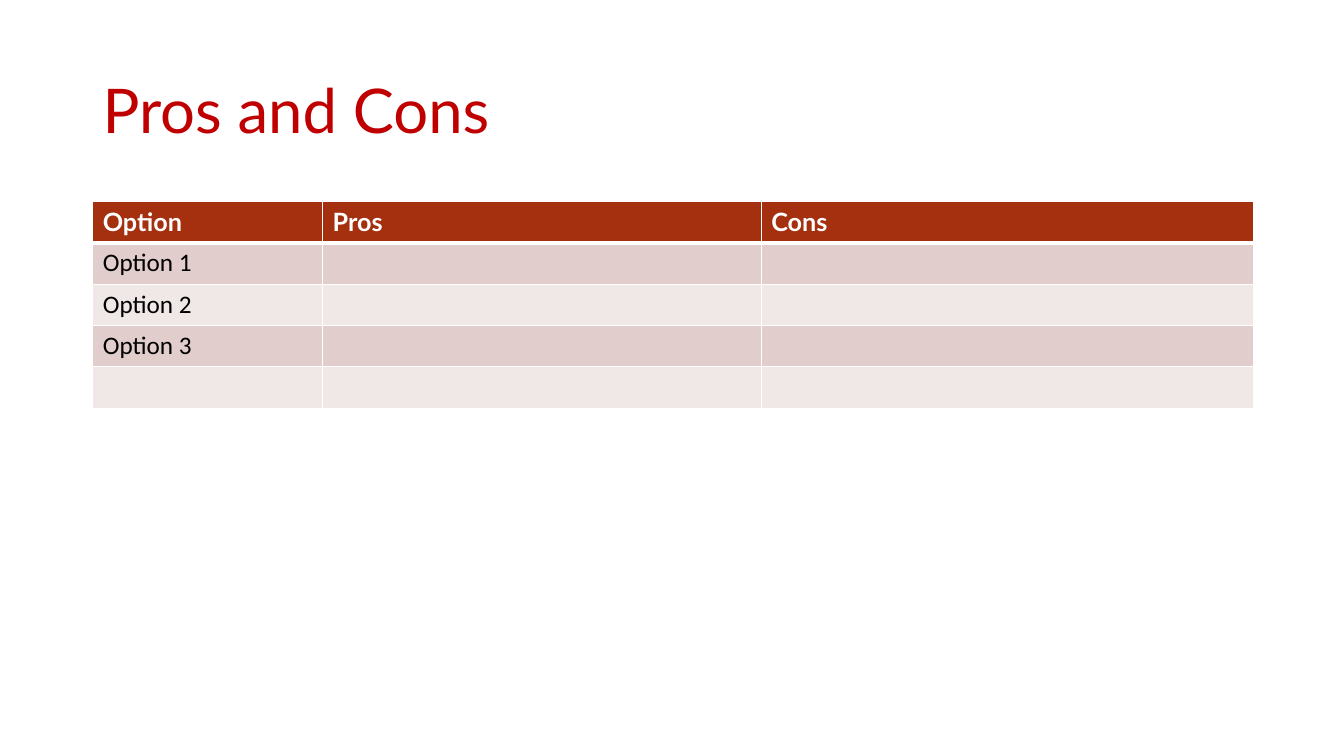
from lxml import etree
from pptx import Presentation
from pptx.dml.color import RGBColor
from pptx.enum.text import MSO_ANCHOR
from pptx.oxml.ns import qn
from pptx.util import Inches, Pt

MIDDLE = MSO_ANCHOR.MIDDLE

# Content
TITLE = "Pros and Cons"
ROWS = [
    ("Option", "Pros", "Cons"),
    ("Option 1", "", ""),
    ("Option 2", "", ""),
    ("Option 3", "", ""),
    ("", "", ""),
]

# Look
COLORS = {
    "title": "C00000",
    "header": "A5300F",
    "dark_band": "E1CDCC",
    "light_band": "F0E8E7",
    "white": "FFFFFF",
    "black": "000000",
}
LEFT, WIDTH = 0.92, 11.5
TITLE_TOP, TITLE_HEIGHT = 0.4, 1.45
TABLE_TOP, ROW_HEIGHT = 2, 0.41
COL_WIDTHS = (2.28, 4.35, 4.88)
RULE, HEADER_RULE = 1, 3


def add_run(p, text, size, font, color, bold=False):
    r = p.add_run()
    r.text = text
    r.font.size = Pt(size)
    r.font.name = font
    r.font.bold = bold
    r.font.color.rgb = RGBColor.from_string(COLORS[color])


def add_borders(cell, row):
    widths = {
        "lnL": RULE,
        "lnR": RULE,
        "lnT": HEADER_RULE if row == 1 else RULE,
        "lnB": HEADER_RULE if row == 0 else RULE,
    }
    tc_pr = cell._tc.get_or_add_tcPr()
    for side, width in widths.items():
        ln = etree.SubElement(tc_pr, qn(f"a:{side}"), w=str(Pt(width)))
        fill = etree.SubElement(ln, qn("a:solidFill"))
        etree.SubElement(fill, qn("a:srgbClr"), val=COLORS["white"])


def add_title(s):
    sp = s.shapes.add_textbox(Inches(LEFT), Inches(TITLE_TOP),
                              Inches(WIDTH), Inches(TITLE_HEIGHT))
    tf = sp.text_frame
    tf.word_wrap = True
    tf.vertical_anchor = MIDDLE
    p = tf.paragraphs[0]
    p.line_spacing = 0.9
    add_run(p, TITLE, 44, "Lato", "title")


def add_options_table(s):
    frame = s.shapes.add_table(len(ROWS), len(COL_WIDTHS), Inches(LEFT), Inches(TABLE_TOP),
                               Inches(WIDTH), Inches(ROW_HEIGHT * len(ROWS)))
    table = frame.table
    for column, width in zip(table.columns, COL_WIDTHS):
        column.width = Inches(width)
    for i, texts in enumerate(ROWS):
        table.rows[i].height = Inches(ROW_HEIGHT)
        header = i == 0
        band = "header" if header else "dark_band" if i % 2 else "light_band"
        for j, text in enumerate(texts):
            cell = table.cell(i, j)
            add_borders(cell, i)
            cell.fill.solid()
            cell.fill.fore_color.rgb = RGBColor.from_string(COLORS[band])
            if text:
                add_run(cell.text_frame.paragraphs[0], text, 18,
                        "Lato" if header else "Calibri",
                        "white" if header else "black", header)


def main():
    prs = Presentation()
    prs.slide_width, prs.slide_height = Inches(13.33), Inches(7.5)
    s = prs.slides.add_slide(prs.slide_layouts[6])
    add_title(s)
    add_options_table(s)
    prs.save("out.pptx")


if __name__ == "__main__":
    main()
